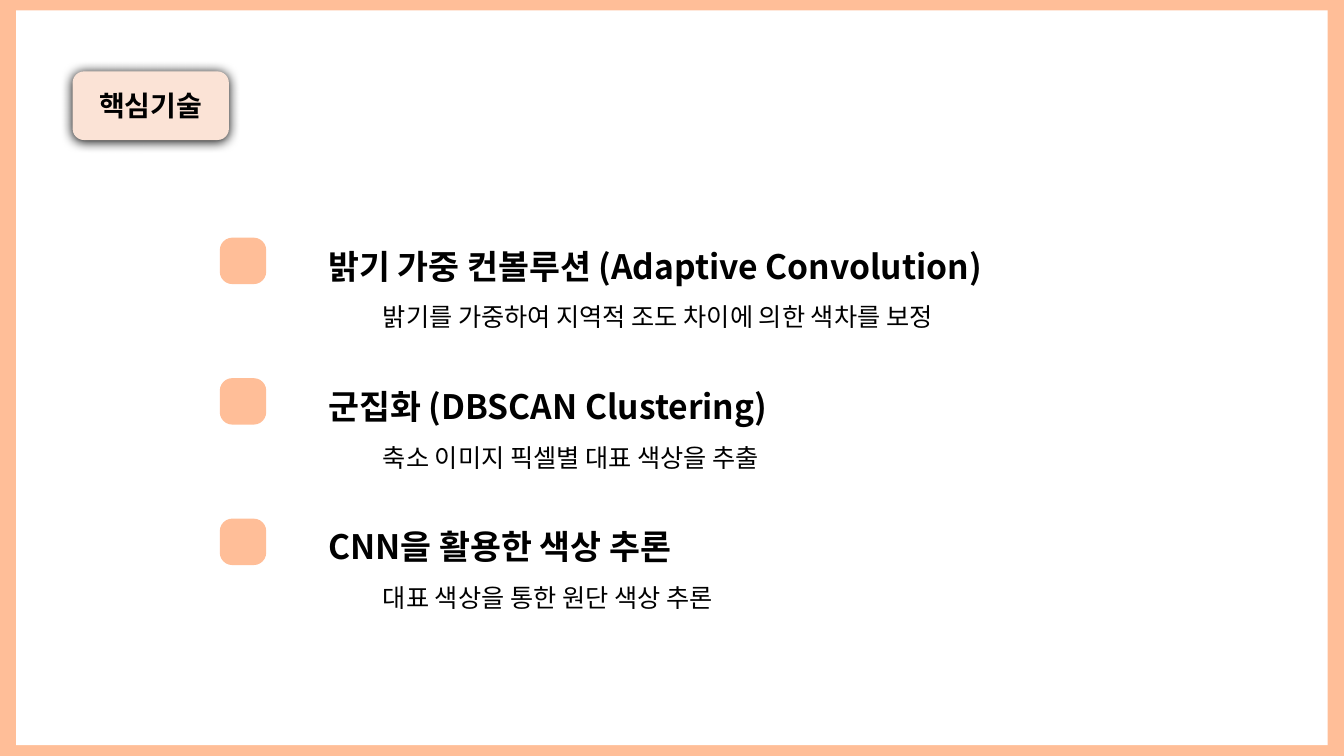
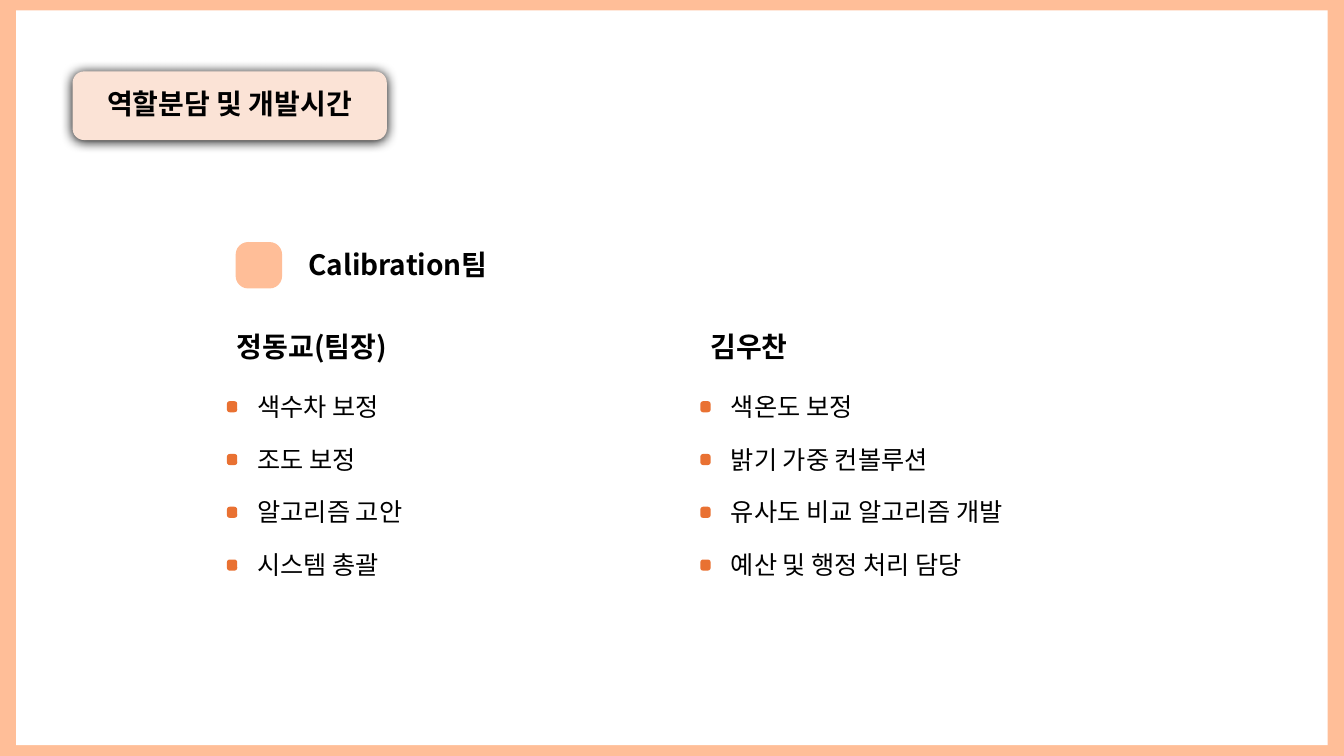
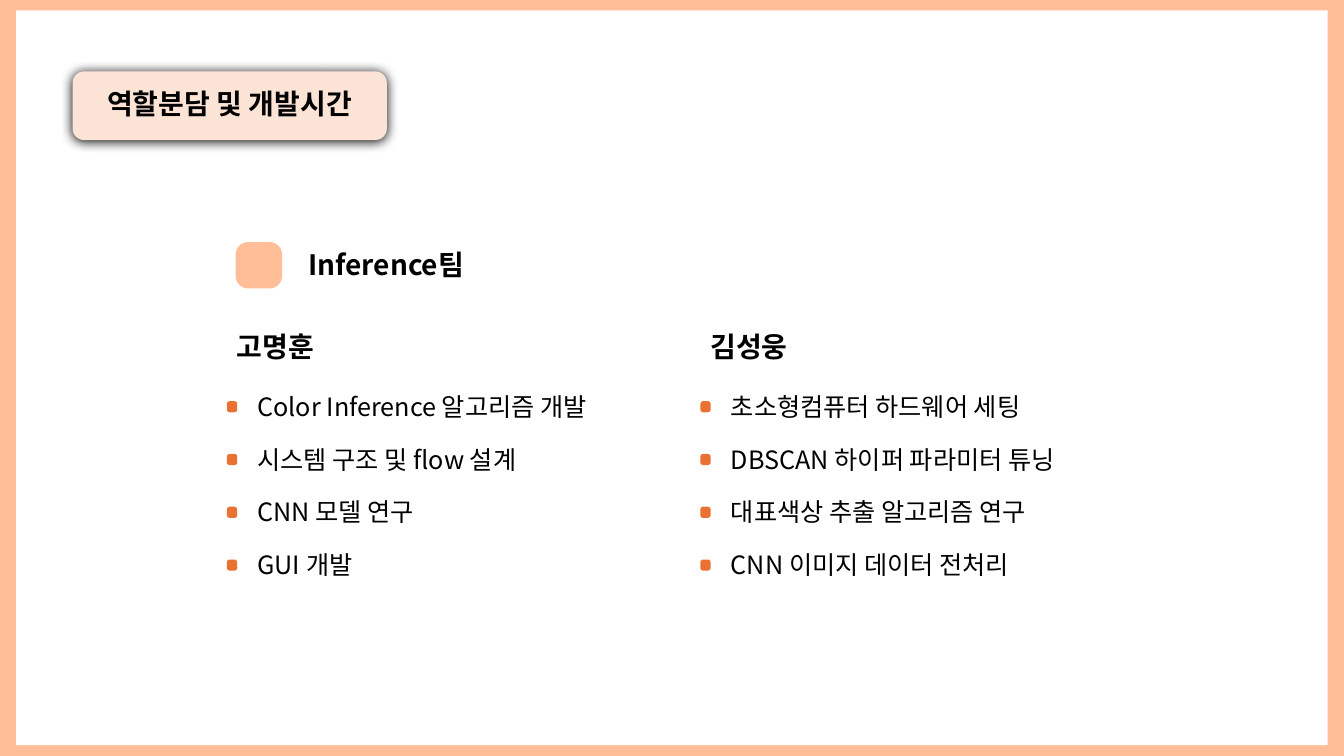
"""Builds three slides on core techniques and team roles."""
from lxml import etree
from pptx import Presentation
from pptx.dml.color import RGBColor
from pptx.enum.shapes import MSO_SHAPE
from pptx.enum.text import MSO_ANCHOR, MSO_AUTO_SIZE, PP_ALIGN
from pptx.oxml.ns import qn
from pptx.util import Cm, Pt

RECTANGLE = MSO_SHAPE.RECTANGLE
ROUNDED = MSO_SHAPE.ROUNDED_RECTANGLE
MIDDLE = MSO_ANCHOR.MIDDLE
CENTER = PP_ALIGN.CENTER
GROW = MSO_AUTO_SIZE.SHAPE_TO_FIT_TEXT

PEACH = RGBColor(0xFF, 0xBE, 0x98)
CREAM = RGBColor(0xFB, 0xE3, 0xD6)
ORANGE = RGBColor(0xE9, 0x71, 0x32)
WHITE = RGBColor(0xFF, 0xFF, 0xFF)
BLACK = RGBColor(0x00, 0x00, 0x00)

FONT = "Noto Sans CJK KR"
MARKER_ROUNDING = 0.27
TECHNIQUE_PITCH = 3.54
DUTY_PITCH = 1.33
COLUMN_LEFTS = (5.72, 17.65)

TECHNIQUES = (
    ("밝기 가중 컨볼루션 (Adaptive Convolution)",
     "밝기를 가중하여 지역적 조도 차이에 의한 색차를 보정"),
    ("군집화 (DBSCAN Clustering)", "축소 이미지 픽셀별 대표 색상을 추출"),
    ("CNN을 활용한 색상 추론", "대표 색상을 통한 원단 색상 추론"),
)

TEAMS = (
    ("Calibration팀", (
        ("정동교(팀장)",
         ("색수차 보정", "조도 보정", "알고리즘 고안", "시스템 총괄")),
        ("김우찬",
         ("색온도 보정", "밝기 가중 컨볼루션", "유사도 비교 알고리즘 개발",
          "예산 및 행정 처리 담당")),
    )),
    ("Inference팀", (
        ("고명훈",
         ("Color Inference 알고리즘 개발", "시스템 구조 및 flow 설계",
          "CNN 모델 연구", "GUI 개발")),
        ("김성웅",
         ("초소형컴퓨터 하드웨어 세팅", "DBSCAN 하이퍼 파라미터 튜닝",
          "대표색상 추출 알고리즘 연구", "CNN 이미지 데이터 전처리")),
    )),
)


class Deck:
    """Holds the shared style and the slide being filled."""

    def __init__(self):
        self.presentation = Presentation()
        self.presentation.slide_width = Cm(33.87)
        self.presentation.slide_height = Cm(19.05)
        self.slide = None

    def start_slide(self, title, title_width, line_spacing=None):
        """Adds a framed slide with its title badge."""
        layout = self.presentation.slide_layouts[6]
        self.slide = self.presentation.slides.add_slide(layout)
        self.block(RECTANGLE, 0, 0, 33.87, 19.05, PEACH)
        self.block(RECTANGLE, 0.41, 0.26, 33.05, 18.52, WHITE)
        badge = self.block(ROUNDED, 1.83, 1.8, title_width, 1.73, CREAM)
        self.cast_shadow(badge)
        badge.text_frame.vertical_anchor = MIDDLE
        paragraph = badge.text_frame.paragraphs[0]
        paragraph.alignment = CENTER
        if line_spacing:
            paragraph.line_spacing = line_spacing
        self.styled_run(paragraph, title, 20, True)

    def block(self, outline, left, top, width, height, color):
        """Adds a filled shape without a line."""
        shape = self.slide.shapes.add_shape(
            outline, Cm(left), Cm(top), Cm(width), Cm(height))
        shape.shadow.inherit = False
        shape.fill.solid()
        shape.fill.fore_color.rgb = color
        shape.line.fill.background()
        return shape

    def cast_shadow(self, shape):
        """Puts a soft dark shadow under a shape."""
        effects = shape._element.spPr.find(qn("a:effectLst"))
        shadow = etree.SubElement(
            effects, qn("a:outerShdw"), blurRad=str(Pt(8.5)),
            dist=str(Pt(1)), dir="5400000", algn="t", rotWithShape="0")
        etree.SubElement(shadow, qn("a:srgbClr"), val=str(BLACK))

    def marker(self, left, top, width, height, color):
        """Adds a small rounded square."""
        square = self.block(ROUNDED, left, top, width, height, color)
        square.adjustments[0] = MARKER_ROUNDING

    def text(self, left, top, width, height, words, size, bold=False):
        """Adds one line of text."""
        box = self.slide.shapes.add_textbox(
            Cm(left), Cm(top), Cm(width), Cm(height))
        box.text_frame.word_wrap = True
        box.text_frame.auto_size = GROW
        self.styled_run(box.text_frame.paragraphs[0], words, size, bold)

    def styled_run(self, paragraph, words, size, bold):
        """Adds a run in the deck's font."""
        run = paragraph.add_run()
        run.text = words
        run.font.size = Pt(size)
        run.font.bold = bold
        run.font.color.rgb = BLACK
        run.font.name = FONT
        etree.SubElement(run._r.get_or_add_rPr(), qn("a:ea"), typeface=FONT)

    def technique(self, top, heading, detail):
        """Adds a marked heading with its explanation."""
        self.marker(5.54, top, 1.17, 1.17, PEACH)
        self.text(8.03, top + 0.07, 17.32, 1.28, heading, 24, True)
        self.text(9.4, top + 1.48, 17.75, 1.03, detail, 18)

    def team_heading(self, team):
        """Adds the marked team name."""
        self.marker(5.94, 6.1, 1.17, 1.17, PEACH)
        self.text(7.52, 6.12, 7.57, 1.13, team, 20, True)

    def member(self, left, name, duties):
        """Adds a member's name and marked duties."""
        self.text(left, 8.19, 5.54, 1.13, name, 20, True)
        for row, duty in enumerate(duties):
            top = 9.73 + row * DUTY_PITCH
            self.marker(left, top + 0.38, 0.26, 0.28, ORANGE)
            self.text(left + 0.52, top, 11, 1.03, duty, 18)


def main():
    """Builds and saves the slides."""
    deck = Deck()
    deck.start_slide("핵심기술", 3.94)
    for row, (heading, detail) in enumerate(TECHNIQUES):
        deck.technique(5.99 + row * TECHNIQUE_PITCH, heading, detail)

    for team, members in TEAMS:
        deck.start_slide("역할분담 및 개발시간", 7.92, line_spacing=0.9)
        deck.team_heading(team)
        for left, (name, duties) in zip(COLUMN_LEFTS, members):
            deck.member(left, name, duties)

    deck.presentation.save("out.pptx")


if __name__ == "__main__":
    main()
